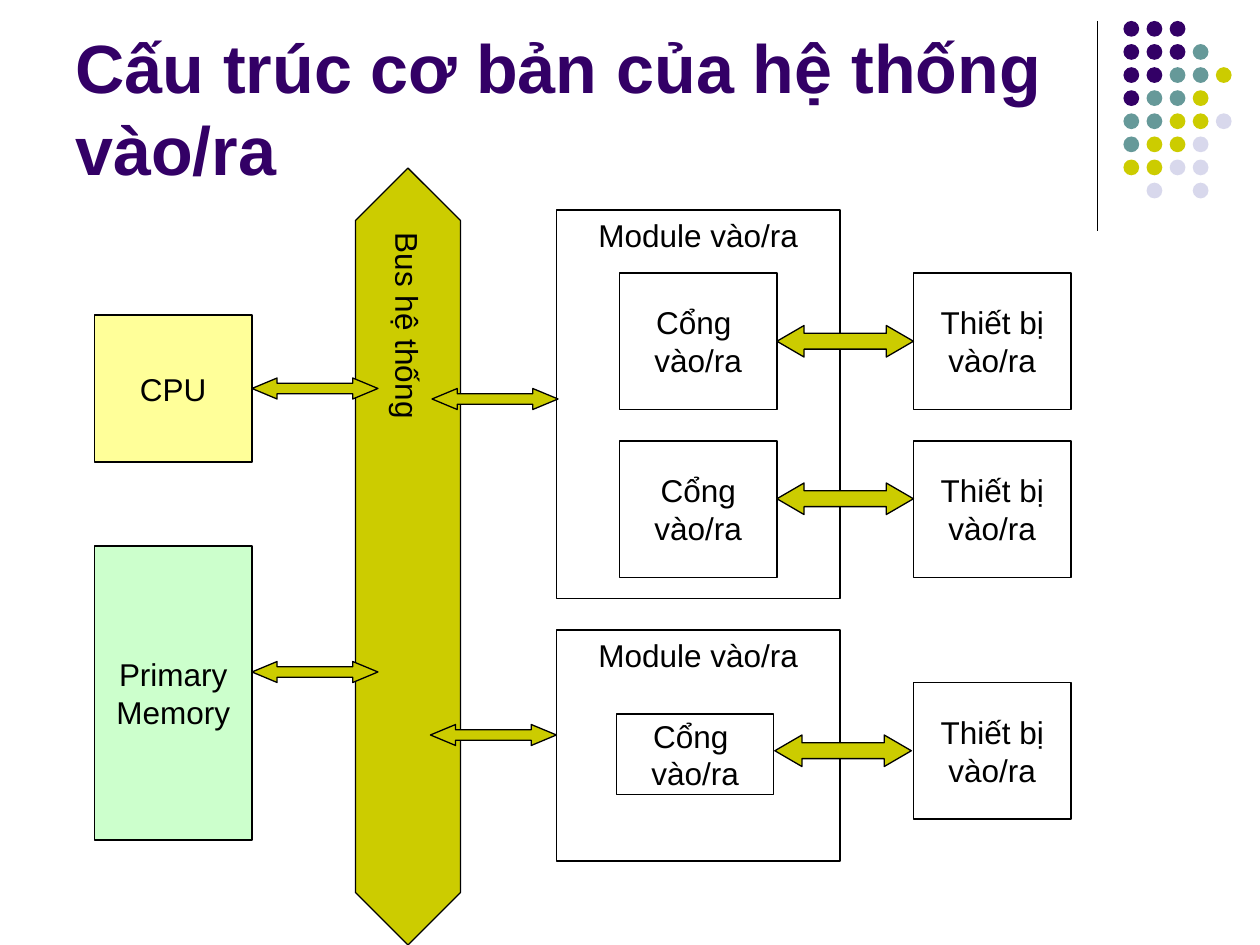
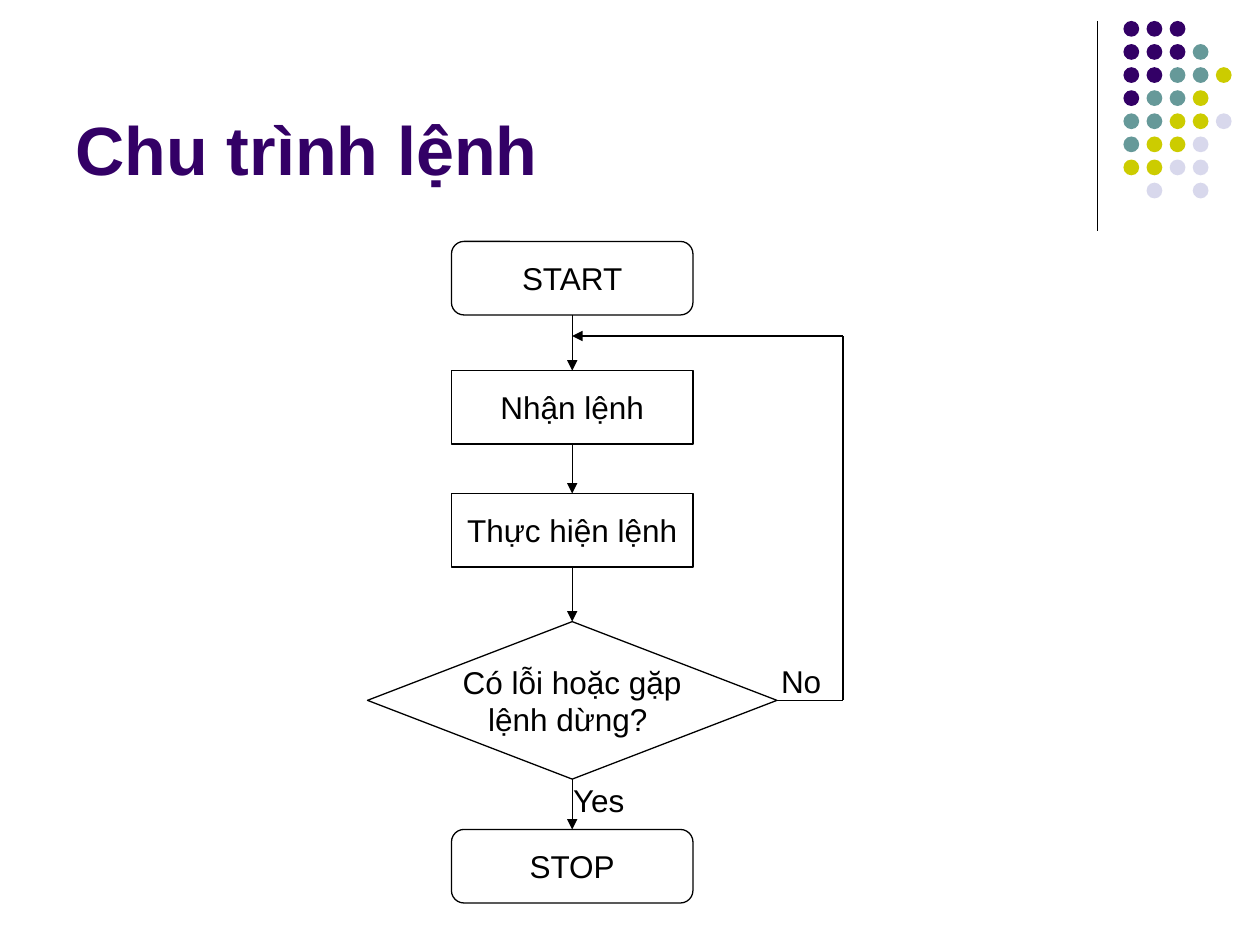
import dataclasses

import lxml.etree
import pptx
import pptx.dml.color
import pptx.enum.shapes
import pptx.enum.text
import pptx.oxml.ns
import pptx.util

SHAPES = pptx.enum.shapes.MSO_SHAPE
ANCHORS = pptx.enum.text.MSO_ANCHOR
ALIGNMENTS = pptx.enum.text.PP_ALIGN
TOP, LEFT, BOTTOM, RIGHT = range(4)


@dataclasses.dataclass(frozen=True)
class Theme:
    font: str = "Arial"
    title_size: float = 39
    body_size: float = 18
    line_width: float = 0.75
    ink: str = "000000"
    title: str = "330066"
    teal: str = "669999"
    olive: str = "CCCC00"
    lavender: str = "D8D8EC"
    processor: str = "FFFF99"
    memory: str = "CCFFCC"


DOT_PATTERN = ("PPP", "PPPT", "PPTTO", "PTTO", "TTOOL", "TOOL", "OOLL", " L L")


class Deck:
    """Holds the style and the current slide, on a grid of 120 columns by 90 rows."""

    COLUMNS, ROWS = 120, 90

    def __init__(self, theme):
        self.theme = theme
        self.presentation = pptx.Presentation()
        self.presentation.slide_width = pptx.util.Inches(10)
        self.presentation.slide_height = pptx.util.Inches(7.5)
        self.slide = None

    def across(self, columns):
        return round(self.presentation.slide_width * columns / self.COLUMNS)

    def down(self, rows):
        return round(self.presentation.slide_height * rows / self.ROWS)

    def frame(self, column, row, width, height):
        return self.across(column), self.down(row), self.across(width), self.down(height)

    def color(self, value):
        return pptx.dml.color.RGBColor.from_string(value)

    def add_slide(self, title):
        blank_layout = self.presentation.slide_layouts[6]
        self.slide = self.presentation.slides.add_slide(blank_layout)
        self.line((104.5, 2), (104.5, 22))
        self.dots()
        self.text(title, (6, 1.6, 99, 17), self.theme.title_size, self.theme.title,
                  bold=True, anchor=ANCHORS.BOTTOM)

    def dots(self):
        colors = {"P": self.theme.title, "T": self.theme.teal,
                  "O": self.theme.olive, "L": self.theme.lavender}
        pitch, size = 2.2, 1.5
        for row, pattern in enumerate(DOT_PATTERN):
            for column, key in enumerate(pattern):
                if key in colors:
                    place = (107 + column * pitch, 2 + row * pitch, size, size)
                    self.shape(SHAPES.OVAL, place, fill=colors[key], outlined=False)

    def set_text(self, text_frame, text, size, color, bold=False, alignment=None):
        text_frame.text = text
        for paragraph in text_frame.paragraphs:
            paragraph.alignment = alignment
            paragraph.font.name = self.theme.font
            paragraph.font.size = pptx.util.Pt(size)
            paragraph.font.bold = bold
            paragraph.font.color.rgb = self.color(color)

    def text(self, text, place, size, color, bold=False, anchor=ANCHORS.TOP):
        text_frame = self.slide.shapes.add_textbox(*self.frame(*place)).text_frame
        text_frame.word_wrap = True
        text_frame.vertical_anchor = anchor
        self.set_text(text_frame, text, size, color, bold)

    def label(self, text, column, row):
        self.text(text, (column, row, 8.5, 4.8), self.theme.body_size, self.theme.ink)

    def shape(self, kind, place, text="", fill=None, outlined=True,
              adjustments=(), anchor=ANCHORS.MIDDLE):
        shape = self.slide.shapes.add_shape(kind, *self.frame(*place))
        shape.shadow.inherit = False
        for index, value in enumerate(adjustments):
            shape.adjustments[index] = value
        if fill:
            shape.fill.solid()
            shape.fill.fore_color.rgb = self.color(fill)
        else:
            shape.fill.background()
        if outlined:
            self.outline(shape.line)
        else:
            shape.line.fill.background()
        if text:
            shape.text_frame.word_wrap = False
            shape.text_frame.vertical_anchor = anchor
            self.set_text(shape.text_frame, text, self.theme.body_size, self.theme.ink,
                          alignment=ALIGNMENTS.CENTER)
        return shape

    def outline(self, line):
        line.color.rgb = self.color(self.theme.ink)
        line.width = pptx.util.Pt(self.theme.line_width)

    def box(self, text, place, fill=None, anchor=ANCHORS.MIDDLE):
        return self.shape(SHAPES.RECTANGLE, place, text, fill, anchor=anchor)

    def terminal(self, text, place):
        return self.shape(SHAPES.ROUNDED_RECTANGLE, place, text, adjustments=(0.17,))

    def exchange(self, place, head):
        """Draw a two-way block arrow; head is the head length over the height."""
        self.shape(SHAPES.LEFT_RIGHT_ARROW, place, fill=self.theme.olive,
                   adjustments=(0.5, head))

    def bus(self, text, place):
        shape = self.shape(SHAPES.UP_DOWN_ARROW, place, text, self.theme.olive,
                           adjustments=(0.5, 1.47))
        shape.text_frame._txBody.bodyPr.set("vert", "eaVert")

    def line(self, start, end, arrow=False):
        """Draw a line; each end is a (column, row) point or a (shape, side) pair."""
        connector = self.slide.shapes.add_connector(
            pptx.enum.shapes.MSO_CONNECTOR.STRAIGHT, 0, 0, 0, 0)
        if isinstance(start[0], (int, float)):
            connector.begin_x, connector.begin_y = self.across(start[0]), self.down(start[1])
        else:
            connector.begin_connect(*start)
        if isinstance(end[0], (int, float)):
            connector.end_x, connector.end_y = self.across(end[0]), self.down(end[1])
        else:
            connector.end_connect(*end)
        self.outline(connector.line)
        properties = connector._element.spPr
        if arrow:
            stroke = properties.find(pptx.oxml.ns.qn("a:ln"))
            lxml.etree.SubElement(stroke, pptx.oxml.ns.qn("a:tailEnd"), type="triangle")
        lxml.etree.SubElement(properties, pptx.oxml.ns.qn("a:effectLst"))


def build_input_output_slide(deck):
    deck.add_slide("Cấu trúc cơ bản của hệ thống vào/ra")
    deck.box("CPU", (9, 30, 15, 14), deck.theme.processor)
    deck.box("Primary\nMemory", (9, 52, 15, 28), deck.theme.memory)
    deck.bus("Bus hệ thống", (33.85, 16, 10, 74))
    for row, height in ((20, 37), (60, 22)):
        deck.box("Module vào/ra", (53, row, 27, height), anchor=ANCHORS.TOP)
    for text, column, row, height in (("Cổng \nvào/ra", 59, 26, 13),
                                      ("Cổng\nvào/ra", 59, 42, 13),
                                      ("Cổng \nvào/ra", 58.7, 68, 7.7)):
        deck.box(text, (column, row, 15, height))
    for row in (26, 42, 65):
        deck.box("Thiết bị\nvào/ra", (87, row, 15, 13))
    for column, row in ((24, 36), (24, 63), (41.15, 37), (41, 69)):
        deck.exchange((column, row, 12, 2), head=1.2)
    for column, row in ((74, 31), (74, 46), (73.8, 70)):
        deck.exchange((column, row, 13, 3), head=0.86)


def build_instruction_cycle_slide(deck):
    deck.add_slide("Chu trình lệnh")
    column, width, height = 43, 23, 7
    start = deck.terminal("START", (column, 23, width, height))
    fetch = deck.box("Nhận lệnh", (column, 35.3, width, height))
    execute = deck.box("Thực hiện lệnh", (column, 47, width, height))
    decision = deck.shape(SHAPES.FLOWCHART_DECISION, (35, 59.2, 39, 15),
                          "Có lỗi hoặc gặp\nlệnh dừng? ")
    stop = deck.terminal("STOP", (column, 79, width, height))
    steps = (start, fetch, execute, decision, stop)
    for step, following in zip(steps, steps[1:]):
        deck.line((step, BOTTOM), (following, TOP), arrow=True)

    lower_corner, upper_corner = (80.3, 66.7), (80.3, 32)
    deck.line((decision, RIGHT), lower_corner)
    deck.line(lower_corner, upper_corner)
    deck.line(upper_corner, (column + width / 2, 32), arrow=True)
    deck.label("No", 73.2, 62.5)
    deck.label("Yes", 53.4, 73.8)


def main():
    deck = Deck(Theme())
    build_input_output_slide(deck)
    build_instruction_cycle_slide(deck)
    deck.presentation.save("out.pptx")


if __name__ == "__main__":
    main()
